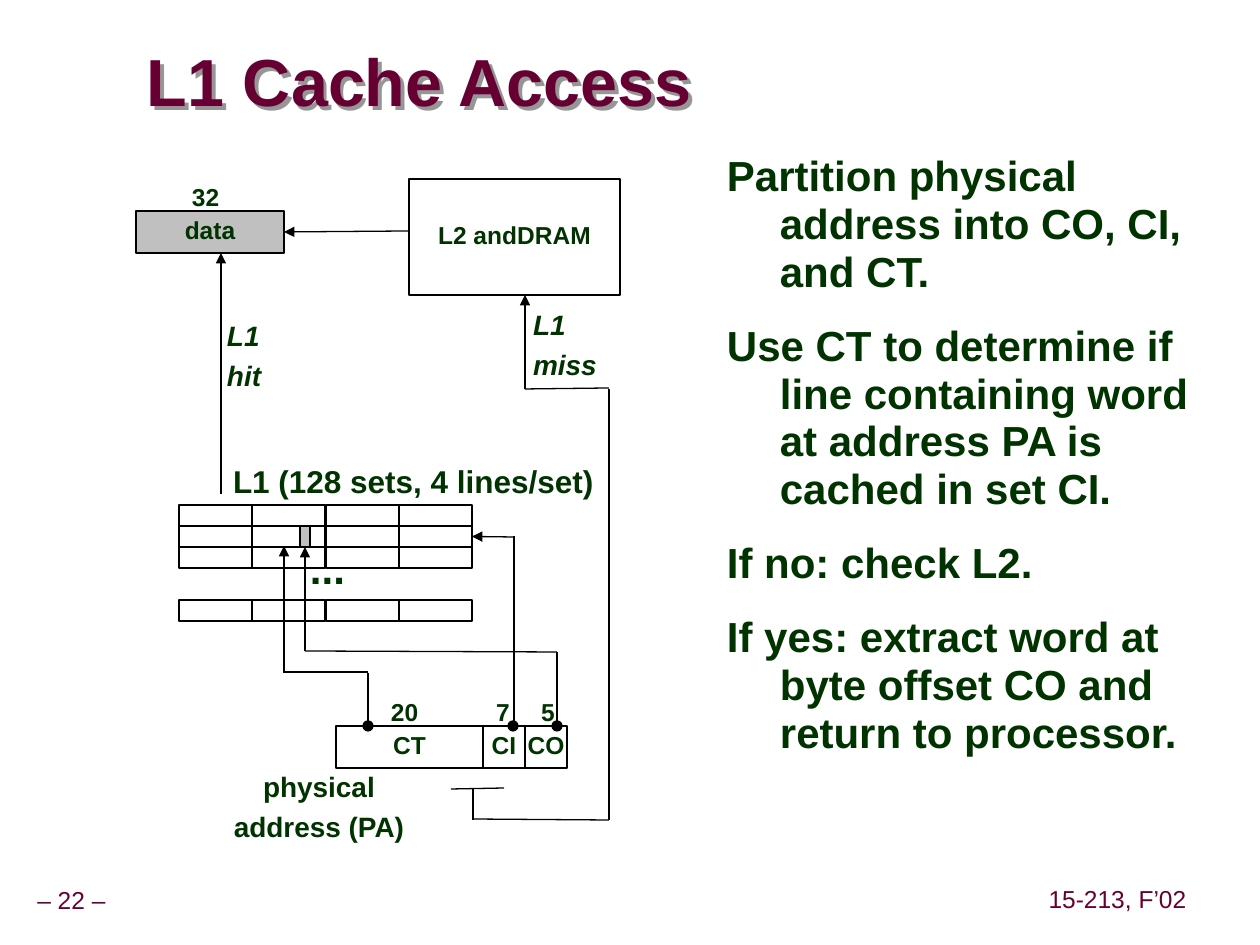
from dataclasses import dataclass
from itertools import product
from typing import Any

from lxml.etree import SubElement, fromstring
from pptx import Presentation
from pptx.dml.color import RGBColor
from pptx.enum.shapes import MSO_CONNECTOR as Connector, MSO_SHAPE as Preset
from pptx.enum.text import MSO_ANCHOR as Anchor, PP_ALIGN as Align
from pptx.oxml.ns import nsdecls, qn
from pptx.util import Emu, Pt

COLORS = {
    "title": "660033",
    "text": "003300",
    "line": "000000",
    "white": "FFFFFF",
    "gray": "C0C0C0",
    "shadow": "969696",
}
TOP, LEFT, BOTTOM, RIGHT = range(4)
BULLET_INDENT = 53


@dataclass
class Box:
    name: str
    left: int
    top: int
    width: int
    height: int
    fill: str = ""
    text: str = ""
    preset: Preset = Preset.RECTANGLE


@dataclass
class Label:
    lines: list[str]
    left: int
    top: int
    width: int
    height: int
    size: int = 14
    italic: bool = False
    bold: bool = True
    color: str = "text"
    align: Align = Align.LEFT
    anchor: Anchor = Anchor.TOP
    inset: tuple[int, int] = (13, 6)
    wrap: bool = True
    spacing: float = 0.9
    before: int = 6
    indent: int = 0


@dataclass
class Wire:
    start: tuple[int, int]
    end: tuple[int, int]
    arrow: bool = False
    joined: str = ""
    side: int = TOP


def px(value: int) -> Emu:
    return Emu(round(value * 914400 / 126))


def rgb(name: str) -> RGBColor:
    return RGBColor.from_string(COLORS[name])


def set_all(target: Any, values: dict[str, Any]) -> None:
    for name, value in values.items():
        setattr(target, name, value)


def write_text(shape: Any, label: Label) -> None:
    frame = shape.text_frame
    across, down = map(px, label.inset)
    set_all(frame, {
        "word_wrap": label.wrap,
        "vertical_anchor": label.anchor,
        "margin_left": across,
        "margin_right": across,
        "margin_top": down,
        "margin_bottom": down,
    })
    for index, line in enumerate(label.lines):
        paragraph = frame.add_paragraph() if index else frame.paragraphs[0]
        set_all(paragraph, {
            "alignment": label.align,
            "line_spacing": label.spacing,
            "space_before": Pt(label.before if index else 0),
        })
        if label.indent:
            properties = paragraph._p.get_or_add_pPr()
            properties.set("marL", str(px(label.indent)))
            properties.set("indent", str(-px(label.indent)))
        run = paragraph.add_run()
        run.text = line
        set_all(run.font, {
            "name": "Arial",
            "size": Pt(label.size),
            "bold": label.bold,
            "italic": label.italic,
        })
        run.font.color.rgb = rgb(label.color)


def draw_label(slide: Any, label: Label) -> Any:
    shape = slide.shapes.add_textbox(*map(px, (label.left, label.top, label.width, label.height)))
    write_text(shape, label)
    return shape


def add_shadow(shape: Any) -> None:
    shape._element.spPr.append(fromstring(
        f'<a:effectLst {nsdecls("a")}><a:outerShdw dist="38100" dir="2700000">'
        f'<a:srgbClr val="{COLORS["shadow"]}"/></a:outerShdw></a:effectLst>'))


def draw_box(slide: Any, box: Box) -> Any:
    area = box.left, box.top, box.width, box.height
    shape = slide.shapes.add_shape(box.preset, *map(px, area))
    shape.shadow.inherit = False
    if box.fill:
        shape.fill.solid()
        shape.fill.fore_color.rgb = rgb(box.fill)
    else:
        shape.fill.background()
    shape.line.color.rgb = rgb("line")
    shape.line.width = Pt(0.75)
    if box.text:
        write_text(shape, Label([box.text], *area, align=Align.CENTER,
                                anchor=Anchor.MIDDLE, wrap=False))
    return shape


def draw_wire(slide: Any, wire: Wire, boxes: dict[str, Any]) -> None:
    connector = slide.shapes.add_connector(Connector.STRAIGHT, *map(px, wire.start + wire.end))
    connector.line.color.rgb = rgb("line")
    connector.line.width = Pt(0.75)
    if wire.joined:
        connector.end_connect(boxes[wire.joined], wire.side)
    if wire.arrow:
        SubElement(connector.line._get_or_add_ln(), qn("a:tailEnd"), type="triangle")
    SubElement(connector._element.spPr, qn("a:effectLst"))


CACHE_CELLS = [
    Box(f"cell {row}{column}", 179 + column * 147 // 2, top, 73, 21)
    for (row, top), column in product(enumerate((505, 526, 547, 600)), range(4))
]
BOXES = CACHE_CELLS + [
    Box("word", 300, 526, 10, 21, "gray"),
    Box("data", 136, 211, 148, 42, "gray", "data"),
    Box("memory", 409, 179, 211, 116, "white", "L2 andDRAM"),
    Box("tag", 336, 726, 147, 42, "white", "CT"),
    Box("index", 483, 726, 42, 42, "white", "CI"),
    Box("offset", 525, 726, 42, 42, "white", "CO"),
]
WIRES = [
    Wire((368, 726), (368, 673)),
    Wire((368, 672), (284, 672)),
    Wire((284, 673), (284, 546), True),
    Wire((557, 726), (557, 652)),
    Wire((557, 652), (305, 651)),
    Wire((305, 651), (305, 547), True, "word", BOTTOM),
    Wire((514, 726), (514, 536)),
    Wire((514, 537), (472, 536), True, "cell 13", RIGHT),
    Wire((221, 494), (221, 253), True),
    Wire((409, 231), (284, 232), True, "data", RIGHT),
    Wire((451, 789), (504, 788)),
    Wire((473, 789), (473, 820)),
    Wire((473, 819), (609, 820)),
    Wire((609, 820), (609, 389)),
    Wire((609, 388), (525, 389)),
    Wire((525, 389), (525, 295), True),
]
DOTS = [Box("dot", left, 721, 10, 10, "line", preset=Preset.OVAL) for left in (363, 508, 552)]
TITLE = Label(["L1 Cache Access"], 147, 46, 743, 79, 38, color="title",
              anchor=Anchor.MIDDLE, inset=(0, 0), spacing=0.87)
FOOTER = {"bold": False, "color": "title", "align": Align.CENTER,
          "anchor": Anchor.MIDDLE, "inset": (6, 6)}
LABELS = [
    Label(["– 22 –"], -11, 882, 165, 39, **FOOTER),
    Label(["15-213, F’02"], 1032, 881, 171, 39, **FOOTER),
    Label([
        "Partition physical address into CO, CI, and CT.",
        "Use CT to determine if line containing word at address PA is cached in set CI.",
        "If no: check L2.",
        "If yes: extract word at byte offset CO and return to processor.",
    ], 714, 147, 504, 726, 24, spacing=0.95, before=15, indent=BULLET_INDENT),
    Label(["physical", "address (PA)"], 209, 767, 220, 83, 16, align=Align.CENTER),
    Label(["32"], 179, 179, 70, 39),
    Label(["20"], 378, 694, 70, 39),
    Label(["7"], 483, 694, 44, 39),
    Label(["5"], 528, 694, 44, 39),
    Label(["..."], 297, 542, 80, 58, 24),
    Label(["L1 (128 sets, 4 lines/set)"], 220, 460, 410, 47, 18),
    Label(["L1", "hit"], 214, 316, 80, 83, 16, italic=True),
    Label(["L1", "miss"], 520, 305, 110, 83, 16, italic=True),
]


def main() -> None:
    presentation = Presentation()
    set_all(presentation, {"slide_width": px(1260), "slide_height": px(945)})
    slide = presentation.slides.add_slide(presentation.slide_layouts[6])
    add_shadow(draw_label(slide, TITLE))
    boxes = {box.name: draw_box(slide, box) for box in BOXES}
    for wire in WIRES:
        draw_wire(slide, wire, boxes)
    for dot in DOTS:
        draw_box(slide, dot)
    for label in LABELS:
        draw_label(slide, label)
    presentation.save("out.pptx")


if __name__ == "__main__":
    main()
